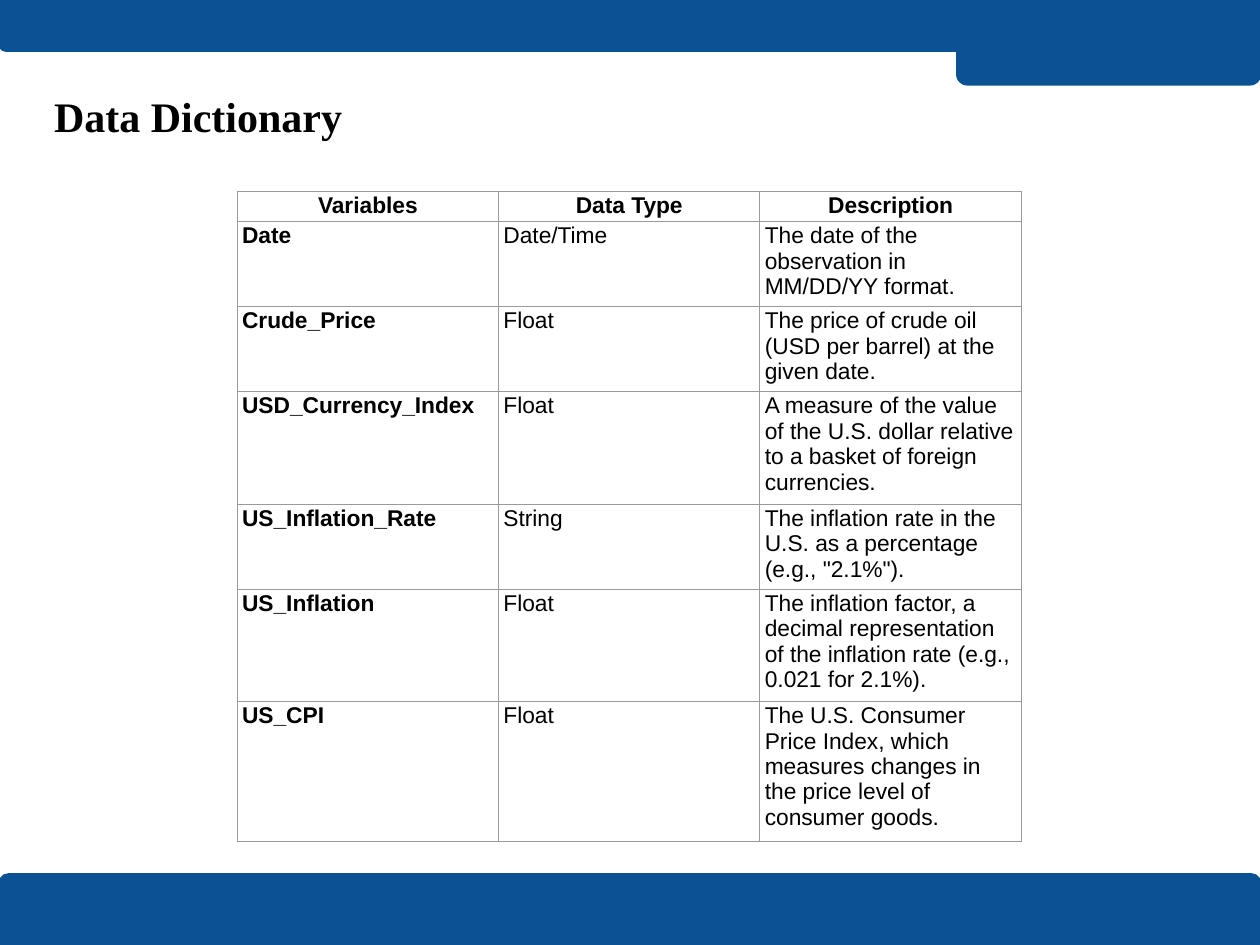
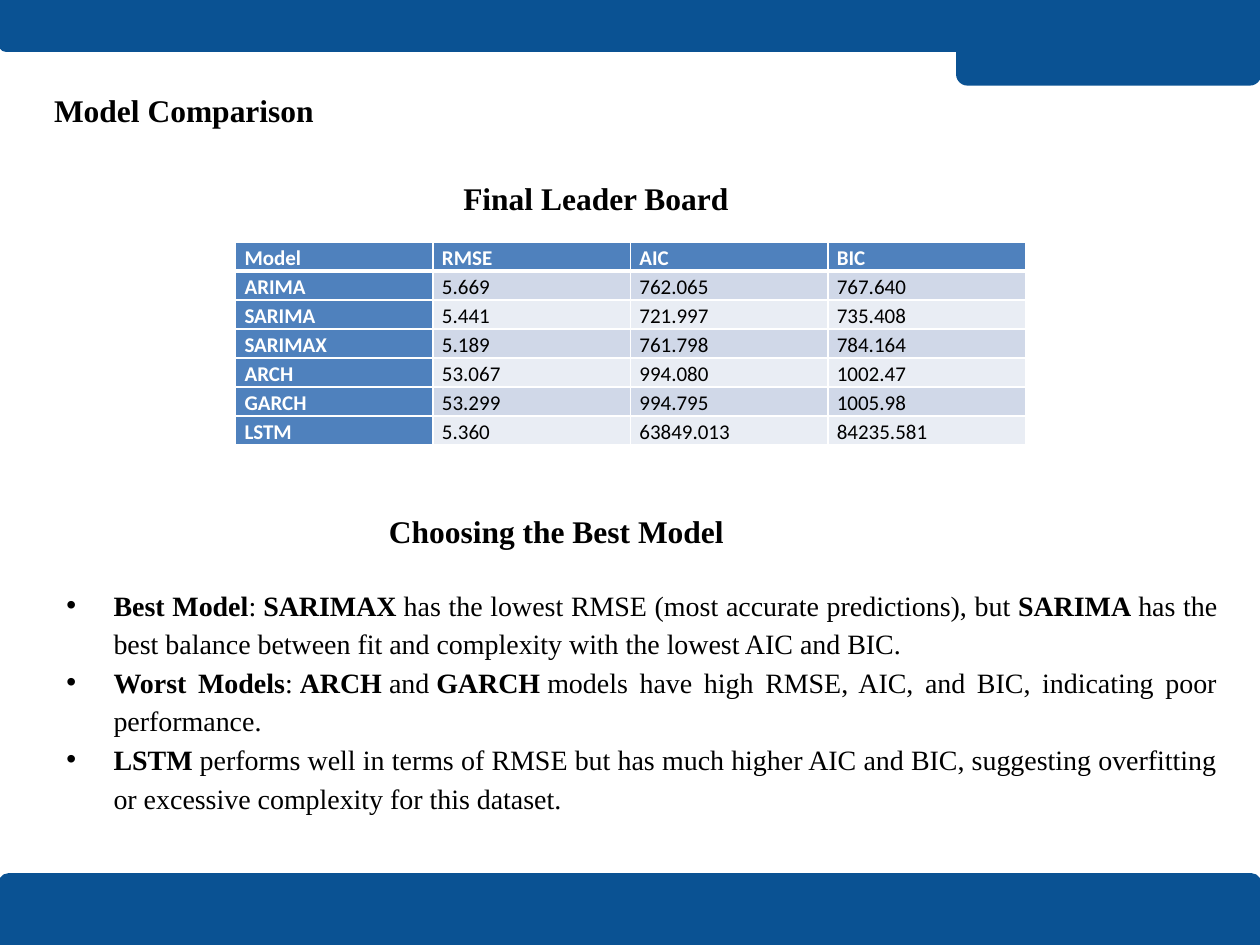
from lxml import etree
from pptx import Presentation
from pptx import util as u
from pptx.dml.color import RGBColor
from pptx.enum import shapes, text
from pptx.oxml.ns import qn

Cm, Pt = u.Cm, u.Pt
BLUE, BLACK, WHITE, GREY = "0A5293", "000000", "FFFFFF", "9A9A9A"
HEAD, STRIPES = "4F81BD", ("D0D8E8", "E9EDF4")
CENTER, JUSTIFY = text.PP_ALIGN.CENTER, text.PP_ALIGN.JUSTIFY
NBSP = chr(160)

DICTIONARY = [
    ("Variables", "Data Type", "Description"),
    ("Date", "Date/Time", "The date of the observation in MM/DD/YY format."),
    ("Crude_Price", "Float",
     "The price of crude oil (USD per barrel) at the given date."),
    ("USD_Currency_Index", "Float",
     "A measure of the value of the U.S. dollar relative to a basket of foreign currencies."),
    ("US_Inflation_Rate", "String",
     'The inflation rate in the U.S. as a percentage (e.g., "2.1%").'),
    ("US_Inflation", "Float",
     "The inflation factor, a decimal representation of the inflation rate "
     "(e.g., 0.021 for 2.1%)."),
    ("US_CPI", "Float",
     "The U.S. Consumer Price Index, which measures changes in the price level "
     "of consumer goods."),
]
DICTIONARY_HEIGHTS = (0.56, 1.63, 1.63, 2.16, 1.63, 2.16, 2.16)

LEADER_BOARD = [
    ("Model", "RMSE", "AIC", "BIC"),
    ("ARIMA", "5.669", "762.065", "767.640"),
    ("SARIMA", "5.441", "721.997", "735.408"),
    ("SARIMAX", "5.189", "761.798", "784.164"),
    ("ARCH", "53.067", "994.080", "1002.47"),
    ("GARCH", "53.299", "994.795", "1005.98"),
    ("LSTM", "5.360", "63849.013", "84235.581"),
]

FINDINGS = [
    "**Best Model**: **SARIMAX** has the lowest RMSE (most accurate predictions), but "
    "**SARIMA** has the best balance between fit and complexity with the lowest AIC and BIC.",
    "**Worst Models**: **ARCH** and **GARCH** models have high RMSE, AIC, and BIC, "
    "indicating poor performance.",
    "**LSTM** performs well in terms of RMSE but has much higher AIC and BIC, "
    "suggesting overfitting or excessive complexity for this dataset.",
]


def rgb(hex_color):
    return RGBColor.from_string(hex_color)


def set_all(obj, values):
    for name, value in values.items():
        setattr(obj, name, value)


class Deck:
    """Holds the shared style and the slide being filled."""

    font = "Times New Roman"
    # left, top, width, height, rounded corners (top, bottom)
    bands = [
        (0, 17.63, 25.4, 1.42, (0.12, 0)),
        (19.3, 0, 6.1, 1.7, (0, 0.12)),
        (0, 0, 25.4, 1.02, (0, 0.12)),
    ]

    def __init__(self):
        self.prs = Presentation()
        set_all(self.prs, {"slide_width": Cm(25.4), "slide_height": Cm(19.05)})

    def slide(self, title, size):
        self.s = self.prs.slides.add_slide(self.prs.slide_layouts[6])
        for band in self.bands:
            self.band(*band)
        tf = self.box(1.09, 1.83, 21.92, 1.02, inset=0)
        self.put_text(tf.paragraphs[0], f"**{title}**", size)

    def band(self, x, y, w, h, corners):
        sp = self.s.shapes.add_shape(shapes.MSO_SHAPE.ROUND_2_SAME_RECTANGLE,
                                     Cm(x), Cm(y), Cm(w), Cm(h))
        for i, corner in enumerate(corners):
            sp.adjustments[i] = corner
        sp.shadow.inherit = False
        sp.fill.solid()
        sp.fill.fore_color.rgb = sp.line.color.rgb = rgb(BLUE)
        sp.line.width = Pt(1.5)

    def box(self, x, y, w, h, inset=None):
        tf = self.s.shapes.add_textbox(Cm(x), Cm(y), Cm(w), Cm(h)).text_frame
        tf.word_wrap = True
        if inset is not None:
            set_all(tf, dict.fromkeys(("margin_left", "margin_top", "margin_right",
                                       "margin_bottom"), Cm(inset)))
        return tf

    def put_text(self, p, content, size, color=BLACK, font=None, **fmt):
        """Fill p with content; **marks** set bold, and spaces beside them do not break."""
        set_all(p, fmt)
        content = content.replace(" **", NBSP + "**").replace("** ", "**" + NBSP)
        for i, part in enumerate(content.split("**")):
            if part:
                r = p.add_run()
                r.text = part
                set_all(r.font, {"name": font or self.font, "size": Pt(size),
                                 "bold": i % 2 == 1})
                r.font.color.rgb = rgb(color)

    def indent(self, p, left, first=0):
        pPr = p._p.get_or_add_pPr()
        pPr.set("marL", str(Cm(left)))
        pPr.set("indent", str(Cm(first)))
        return pPr

    def heading(self, content, x, y, w, left=0):
        p = self.box(x, y, w, 1.07).paragraphs[0]
        self.put_text(p, f"**{content}**", 18, alignment=JUSTIFY, line_spacing=1.15)
        self.indent(p, left)

    def bullets(self, items, x, y, w, h):
        tf = self.box(x, y, w, h)
        for i, item in enumerate(items):
            p = tf.add_paragraph() if i else tf.paragraphs[0]
            self.put_text(p, item, 16, alignment=JUSTIFY, line_spacing=1.15)
            pPr = self.indent(p, 0.95, -0.95)
            etree.SubElement(pPr, qn("a:buFont")).set("typeface", "Arial")
            etree.SubElement(pPr, qn("a:buChar")).set("char", "•")

    def table(self, rows, x, y, col_width, heights, style):
        """Build a table; style(row, column) gives fill, borders, margins and text format."""
        n = len(rows[0])
        tbl = self.s.shapes.add_table(len(rows), n, Cm(x), Cm(y), Cm(col_width * n),
                                      Cm(sum(heights))).table
        set_all(tbl, {"first_row": False, "horz_banding": False})
        for col in tbl.columns:
            col.width = Cm(col_width)
        for i, (row, height) in enumerate(zip(rows, heights)):
            tbl.rows[i].height = Cm(height)
            for j, content in enumerate(row):
                cell, look = tbl.cell(i, j), style(i, j)
                set_all(cell, look["margins"])
                self.borders(cell, *look["borders"])
                if look["fill"]:
                    cell.fill.solid()
                    cell.fill.fore_color.rgb = rgb(look["fill"])
                else:
                    cell.fill.background()
                mark = "**" if i == 0 or j == 0 else ""
                self.put_text(cell.text_frame.paragraphs[0], mark + content + mark,
                              **look["text"])

    def borders(self, cell, color, widths):
        tcPr = cell._tc.get_or_add_tcPr()
        for side, width in zip("LRTB", widths):
            ln = etree.SubElement(tcPr, qn(f"a:ln{side}"), w=str(Pt(width)))
            fill = etree.SubElement(ln, qn("a:solidFill"))
            etree.SubElement(fill, qn("a:srgbClr"), val=color)


def margins(side, end):
    return {"margin_left": Cm(side), "margin_right": Cm(side),
            "margin_top": Cm(end), "margin_bottom": Cm(end)}


def dictionary_style(i, j):
    fmt = {"size": 13, "font": "Arial"}
    if i == 0:
        fmt["alignment"] = CENTER
    return {"fill": None, "borders": (GREY, [0.75] * 4),
            "margins": margins(0.1, 0.03), "text": fmt}


def leader_board_style(i, j):
    is_head = i == 0 or j == 0
    widths = (1, 1, 3 if i == 1 else 1, 3 if i == 0 else 1)
    return {"fill": HEAD if is_head else STRIPES[(i - 1) % 2],
            "borders": (WHITE, widths), "margins": margins(0.18, 0),
            "text": {"size": 12, "font": "Calibri", "color": WHITE if is_head else BLACK,
                     "alignment": JUSTIFY, "line_spacing": 1.15}}


def main():
    deck = Deck()

    deck.slide("Data Dictionary", 24)
    deck.table(DICTIONARY, 4.78, 3.86, 5.27, DICTIONARY_HEIGHTS, dictionary_style)

    deck.slide("Model Comparison", 18)
    deck.heading("Final Leader Board", 9.09, 3.38, 7.19)
    deck.table(LEADER_BOARD, 4.75, 4.88, 3.98, [0.55] * len(LEADER_BOARD),
               leader_board_style)
    deck.heading("Choosing the Best Model", 6.32, 10.08, 12.73, left=1.27)
    deck.bullets(FINDINGS, 1.09, 11.63, 23.7, 4.9)

    deck.prs.save("out.pptx")


if __name__ == "__main__":
    main()
